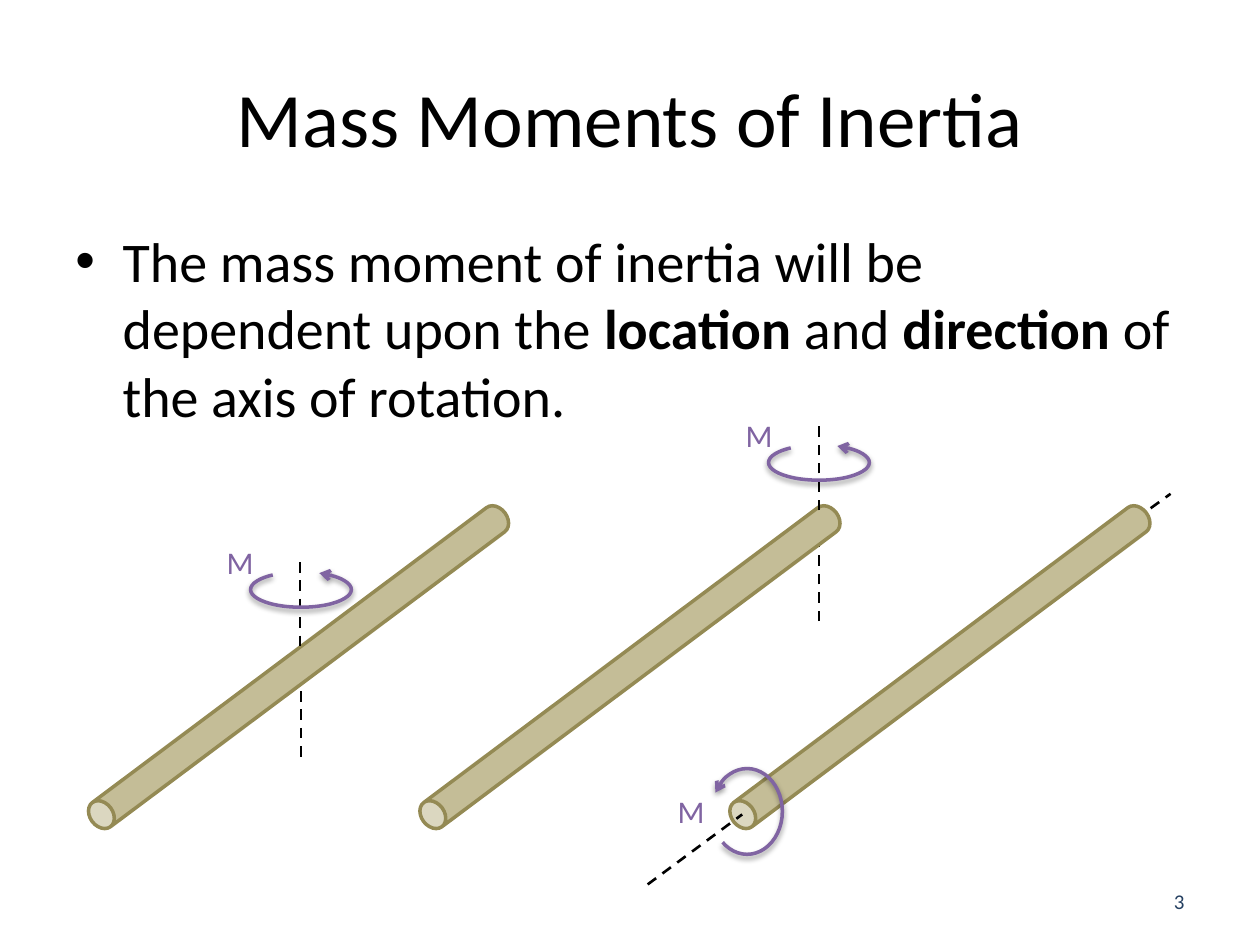
import pptx
import pptx.dml.color
import pptx.enum.dml
import pptx.enum.shapes
import pptx.enum.text
import pptx.oxml
import pptx.oxml.ns
import pptx.util

Pt = pptx.util.Pt
RGB = pptx.dml.color.RGBColor
SHAPE = pptx.enum.shapes.MSO_SHAPE
ALIGN = pptx.enum.text.PP_ALIGN
ANCHOR = pptx.enum.text.MSO_ANCHOR

BLACK = RGB(0x00, 0x00, 0x00)
NAVY = RGB(0x25, 0x40, 0x61)
TAN = RGB(0xC4, 0xBD, 0x97)
OLIVE = RGB(0x94, 0x8A, 0x54)
PURPLE = RGB(0x80, 0x64, 0xA2)
FONT = "Calibri"

ROD_WIDTH, ROD_LENGTH, ROD_ANGLE = 17.3, 294.5, 233.2
ROD_Y = 381.2
AROUND_VERTICAL = (190.88, 124.47)
AROUND_ROD = (126.48, 77.04)

# Per rod: centre x, then offsets from the rod's centre.
RODS = [
    dict(cx=170.6, back=(1.4, 3.2, 1.4, 55), front=(0.8, -60, 0.8, -8.2),
         arc=(-27.4, -54.4, 57.6, 20.2), sweep=AROUND_VERTICAL, label=(-48.2, -74.5)),
    dict(cx=360, back=(108, -26.3, 108, -77.4), front=(108, -89.6, 108, -140.8),
         arc=(79.2, -127, 57.6, 20.2), sweep=AROUND_VERTICAL, label=(59, -147.2)),
    dict(cx=537.1, back=(77.8, -60, 131.8, -99), front=(-167, 124.2, -113, 84.2),
         arc=(-130.3, 58, 40.3, 49), sweep=AROUND_ROD, label=(-157, 68)),
]


def add_xml(parent, xml):
    ns = pptx.oxml.ns.nsdecls("a")
    parent.append(pptx.oxml.parse_xml(xml.replace("NS", ns, 1)))


def style(run, size, color):
    run.font.name = FONT
    run.font.size = Pt(size)
    run.font.color.rgb = color


def add_text(s, text, box, size, color, align=ALIGN.LEFT, anchor=ANCHOR.TOP, wrap=True):
    sp = s.shapes.add_textbox(*map(Pt, box))
    tf = sp.text_frame
    tf.word_wrap = wrap
    tf.vertical_anchor = anchor
    tf.text = text
    p = tf.paragraphs[0]
    p.alignment = align
    style(p.runs[0], size, color)
    return sp


def add_title(s, box):
    sp = s.shapes.title
    sp.left, sp.top, sp.width, sp.height = map(Pt, box)
    tf = sp.text_frame
    tf.vertical_anchor = ANCHOR.MIDDLE
    tf.text = "Mass Moments of Inertia"
    tf.paragraphs[0].alignment = ALIGN.CENTER
    style(tf.paragraphs[0].runs[0], 44, BLACK)


def add_bullet(s, box):
    tf = s.shapes.add_textbox(*map(Pt, box)).text_frame
    tf.word_wrap = True
    p = tf.paragraphs[0]
    pPr = p._p.get_or_add_pPr()
    pPr.set("marL", str(Pt(27)))
    pPr.set("indent", str(-Pt(27)))
    add_xml(pPr, '<a:buFont NS typeface="Arial"/>')
    add_xml(pPr, '<a:buChar NS char="•"/>')
    parts = ["The mass moment of inertia will be dependent upon the ", "location",
             " and ", "direction", " of the axis of rotation."]
    for i, text in enumerate(parts):
        r = p.add_run()
        r.text = text
        style(r, 32, BLACK)
        r.font.bold = i % 2 == 1


def add_axis(s, cx, cy, ends):
    """Draw one dashed part of a rotation axis."""
    x1, y1, x2, y2 = ends
    line = s.shapes.add_connector(
        pptx.enum.shapes.MSO_CONNECTOR.STRAIGHT,
        Pt(cx + x1), Pt(cy + y1), Pt(cx + x2), Pt(cy + y2))
    line.line.color.rgb = BLACK
    line.line.width = Pt(1.5)
    line.line.dash_style = pptx.enum.dml.MSO_LINE.DASH
    add_xml(line._element.spPr, "<a:effectLst NS/>")


def add_can(s, cx, cy):
    can = s.shapes.add_shape(
        SHAPE.CAN, Pt(cx - ROD_WIDTH / 2), Pt(cy - ROD_LENGTH / 2),
        Pt(ROD_WIDTH), Pt(ROD_LENGTH))
    can.adjustments[0] = 0.76
    can.rotation = ROD_ANGLE
    can.shadow.inherit = False
    can.fill.solid()
    can.fill.fore_color.rgb = TAN
    can.line.color.rgb = OLIVE
    can.line.width = Pt(2)


def add_moment_arrow(s, cx, cy, box, sweep):
    x, y, w, h = box
    arc = s.shapes.add_shape(SHAPE.ARC, Pt(cx + x), Pt(cy + y), Pt(w), Pt(h))
    arc.adjustments[0], arc.adjustments[1] = sweep
    arc.fill.background()
    arc.line.color.rgb = PURPLE
    arc.line.width = Pt(2)
    add_xml(arc.line._get_or_add_ln(), '<a:headEnd NS type="arrow"/>')
    add_xml(arc._element.spPr,
            '<a:effectLst NS><a:outerShdw blurRad="40000" dist="20000" dir="5400000" '
            'rotWithShape="0"><a:srgbClr val="000000"><a:alpha val="38000"/>'
            '</a:srgbClr></a:outerShdw></a:effectLst>')


def add_rod(s, cx, cy, back, front, arc, sweep, label):
    """Draw a rod with its axis, moment arrow and label around its centre."""
    add_axis(s, cx, cy, back)
    add_can(s, cx, cy)
    add_axis(s, cx, cy, front)
    add_moment_arrow(s, cx, cy, arc, sweep)
    m = add_text(s, "M", (cx + label[0], cy + label[1], 30.2, 29), 18, PURPLE, wrap=False)
    m.text_frame.auto_size = pptx.enum.text.MSO_AUTO_SIZE.SHAPE_TO_FIT_TEXT


def main():
    prs = pptx.Presentation()
    prs.slide_width, prs.slide_height = Pt(720), Pt(540)
    s = prs.slides.add_slide(prs.slide_layouts[5])
    add_title(s, (36, 21.6, 648, 90))
    add_text(s, "3", (516, 500.5, 168, 28.8), 12, NAVY, ALIGN.RIGHT, ANCHOR.MIDDLE)
    for rod in RODS:
        add_rod(s, cy=ROD_Y, **rod)
    add_bullet(s, (36, 126, 648, 132))
    prs.save("out.pptx")


if __name__ == "__main__":
    main()
